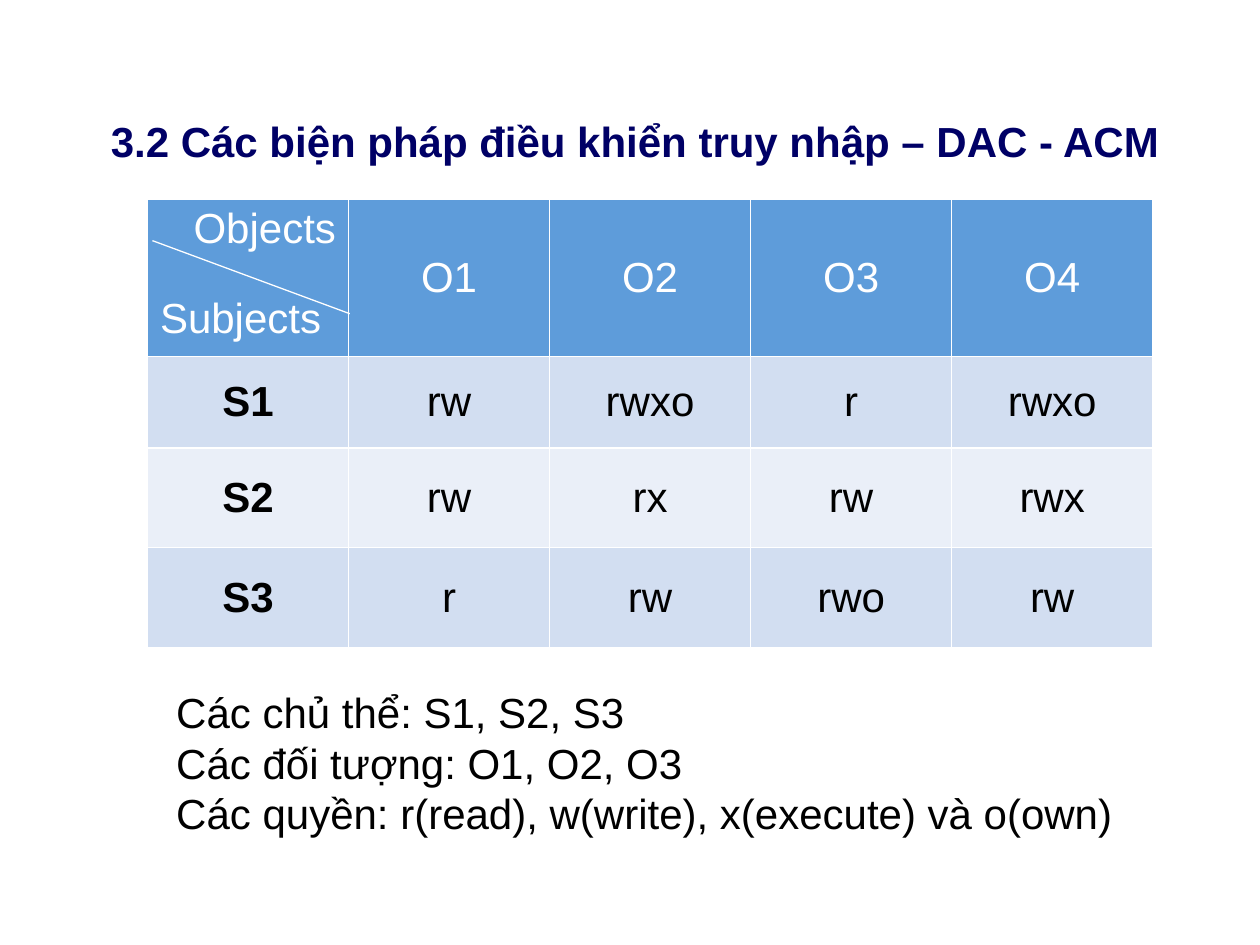
from dataclasses import dataclass

from lxml import etree
from pptx import Presentation, util as u
from pptx.dml.color import RGBColor
from pptx.enum import shapes, text
from pptx.oxml.ns import qn

W, H = 10, 7.5


@dataclass(frozen=True)
class Theme:
    font: str = "Arial"
    size: int = 24
    title: str = "000066"
    ink: str = "000000"
    white: str = "FFFFFF"
    header: str = "5E9CDA"
    bands: tuple = ("D2DEF1", "EAEFF8")
    border: float = 1
    diagonal: float = 0.75


T = Theme()
rgb = RGBColor.from_string
A = text.PP_ALIGN

HEADER = ["O1", "O2", "O3", "O4"]
RIGHTS = [
    ["S1", "rw", "rwxo", "r", "rwxo"],
    ["S2", "rw", "rx", "rw", "rwx"],
    ["S3", "r", "rw", "rwo", "rw"],
]
NOTES = [
    "Các chủ thể: S1, S2, S3",
    "Các đối tượng: O1, O2, O3",
    "Các quyền: r(read), w(write), x(execute) và o(own)",
]


def write(tf, lines, color, align=A.LEFT, bold=False):
    for i, line in enumerate(lines):
        p = tf.paragraphs[0] if i == 0 else tf.add_paragraph()
        p.text, p.alignment = line, align
        f = p.font
        f.name, f.size, f.bold = T.font, u.Pt(T.size), bold
        f.color.rgb = rgb(color)


def add_text(s, box, lines, color, anchor=text.MSO_ANCHOR.TOP, **style):
    tf = s.shapes.add_textbox(*map(u.Inches, box)).text_frame
    tf.word_wrap, tf.vertical_anchor = True, anchor
    write(tf, lines, color, **style)


def style_cell(cell, fill):
    cell.fill.solid()
    cell.fill.fore_color.rgb = rgb(fill)
    cell.vertical_anchor = text.MSO_ANCHOR.MIDDLE
    # Borders come before the fill in the cell properties
    tc_pr = cell._tc.get_or_add_tcPr()
    for i, side in enumerate(("a:lnL", "a:lnR", "a:lnT", "a:lnB")):
        ln = etree.Element(qn(side), w=str(u.Pt(T.border)))
        solid = etree.SubElement(ln, qn("a:solidFill"))
        etree.SubElement(solid, qn("a:srgbClr"), val=T.white)
        tc_pr.insert(i, ln)


def add_matrix(s, box, row_heights):
    x, y, w, h = box
    rows, cols = len(RIGHTS) + 1, len(HEADER) + 1
    table = s.shapes.add_table(rows, cols, *map(u.Inches, box)).table
    for col in table.columns:
        col.width = u.Inches(w / cols)
    for row, height in zip(table.rows, row_heights):
        row.height = u.Inches(height)

    # Header and rights
    for r, values in enumerate([[""] + HEADER] + RIGHTS):
        for c, value in enumerate(values):
            cell = table.cell(r, c)
            style_cell(cell, T.bands[(r - 1) % 2] if r else T.header)
            write(cell.text_frame, [value], T.ink if r else T.white,
                  A.CENTER, bold=r > 0 and c == 0)

    # Corner cell split between objects and subjects
    corner = table.cell(0, 0)
    corner.vertical_anchor = text.MSO_ANCHOR.TOP
    write(corner.text_frame, ["Objects", "Subjects"], T.white)
    objects, subjects = corner.text_frame.paragraphs
    objects.alignment = A.RIGHT
    subjects.space_before = u.Pt(25)

    # Diagonal of the corner cell
    ends = x + 0.04, y + 0.33, x + w / cols + 0.01, y + 0.91
    line = s.shapes.add_connector(shapes.MSO_CONNECTOR.STRAIGHT,
                                  *map(u.Inches, ends))
    line.line.color.rgb = rgb(T.white)
    line.line.width = u.Pt(T.diagonal)
    etree.SubElement(line._element.spPr, qn("a:effectLst"))


def main():
    prs = Presentation()
    prs.slide_width, prs.slide_height = u.Inches(W), u.Inches(H)
    s = prs.slides.add_slide(prs.slide_layouts[6])

    # Title
    add_text(s, (0.25, 0.83, 9.58, 0.57),
             ["3.2 Các biện pháp điều khiển truy nhập – DAC - ACM"],
             T.title, text.MSO_ANCHOR.MIDDLE, align=A.CENTER, bold=True)
    # Access control matrix
    row_heights = [1.21, 0.73, 0.79, 0.79]
    add_matrix(s, (1.17, 1.58, 7.98, sum(row_heights)), row_heights)
    # Notes
    add_text(s, (1.3, 5.4, 7.71, 1.31), NOTES, T.ink)

    prs.save("out.pptx")


if __name__ == "__main__":
    main()
